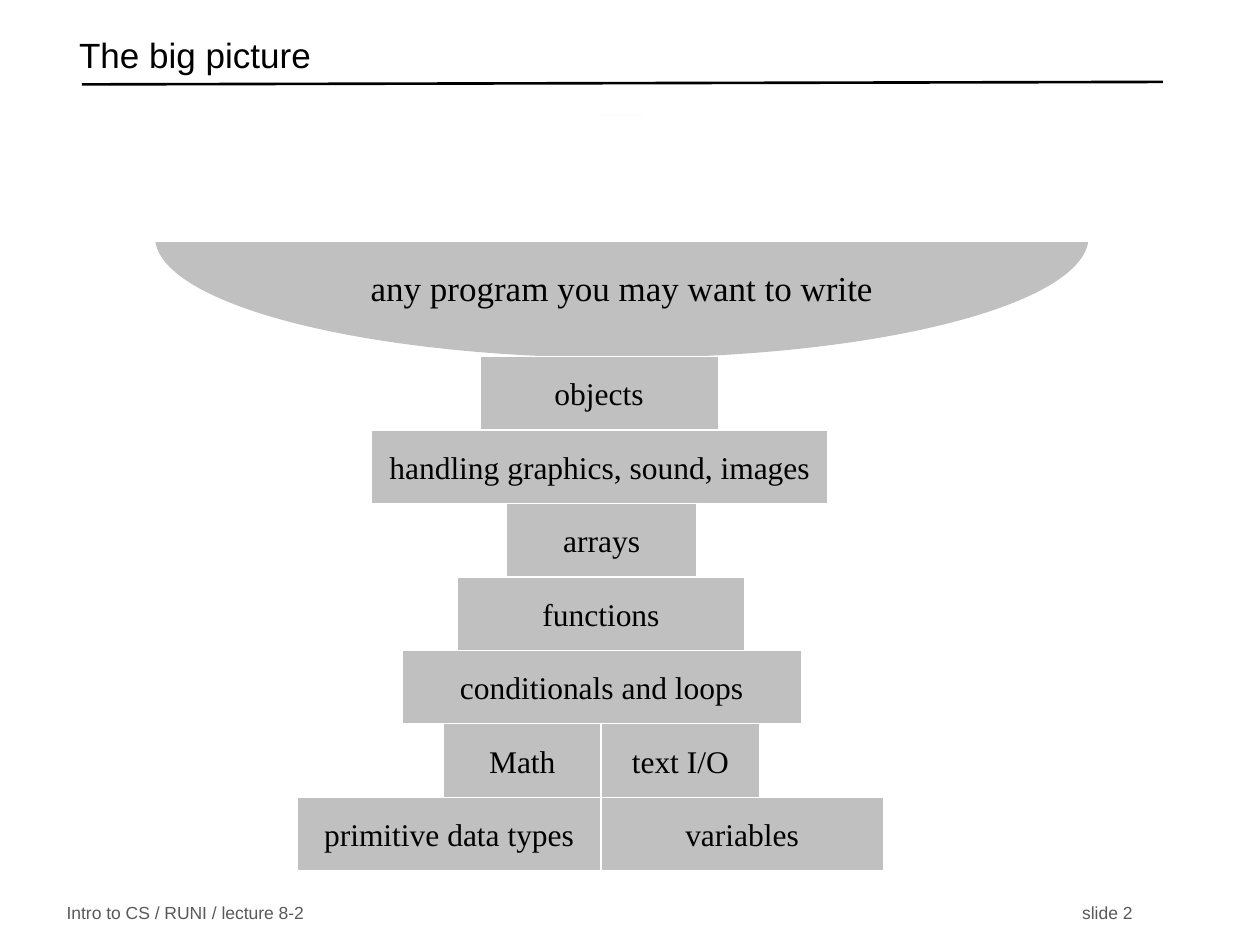
from lxml import etree
from pptx import Presentation
from pptx.dml.color import RGBColor
from pptx.enum import shapes, text
from pptx.oxml import ns
from pptx.util import Inches, Pt

BLACK = RGBColor(0x00, 0x00, 0x00)
WHITE = RGBColor(0xFF, 0xFF, 0xFF)
SILVER = RGBColor(0xC0, 0xC0, 0xC0)
GREY = RGBColor(0x59, 0x59, 0x59)
SANS, SERIF = "Arial", "Times New Roman"

ROW_HEIGHT = 0.583
# Rows from top to bottom: left edge, then (label, width) of each block
ROWS = [
    (3.81, [("objects", 1.89)]),
    (2.95, [("handling graphics, sound, images", 3.62)]),
    (4.02, [("arrays", 1.51)]),
    (3.63, [("functions", 2.28)]),
    (3.19, [("conditionals and loops", 3.17)]),
    (3.52, [("Math", 1.25), ("text I/O", 1.26)]),
    (2.36, [("primitive data types", 2.41), ("variables", 2.24)]),
]


def add_run(paragraph, words, size, font, color):
    run = paragraph.add_run()
    run.text = words
    run.font.size = Pt(size)
    run.font.name = font
    run.font.color.rgb = color


def add_text_box(slide, left, top, width, height):
    box = slide.shapes.add_textbox(Inches(left), Inches(top), Inches(width), Inches(height))
    box.text_frame.word_wrap = True
    box.text_frame.vertical_anchor = text.MSO_ANCHOR.MIDDLE
    return box.text_frame.paragraphs[0]


def add_filled(slide, kind, left, top, width, height, fill, outline=None):
    shape = slide.shapes.add_shape(
        kind, Inches(left), Inches(top), Inches(width), Inches(height))
    shape.shadow.inherit = False
    shape.fill.solid()
    shape.fill.fore_color.rgb = fill
    if outline is None:
        shape.line.fill.background()
    else:
        shape.line.color.rgb = outline
        shape.line.width = Pt(0.75)
    return shape


def add_label(shape, words, size):
    frame = shape.text_frame
    frame.word_wrap = False
    frame.vertical_anchor = text.MSO_ANCHOR.MIDDLE
    paragraph = frame.paragraphs[0]
    paragraph.alignment = text.PP_ALIGN.CENTER
    add_run(paragraph, words, size, SERIF, BLACK)


def add_header(slide, left, top, width, height):
    # Rule under the title
    rule = slide.shapes.add_connector(
        shapes.MSO_CONNECTOR.STRAIGHT,
        Inches(left + 0.12), Inches(top + 0.45),
        Inches(left + width + 0.1), Inches(top + 0.43))
    rule.line.color.rgb = BLACK
    rule.line.width = Pt(1.5)
    etree.SubElement(rule.element.spPr, ns.qn("a:effectLst"))
    # Title
    paragraph = add_text_box(slide, left, top, width, height)
    paragraph.line_spacing = 0.7
    add_run(paragraph, "The big picture", 20, SANS, BLACK)


def add_footer(slide, left, top, width, height):
    paragraph = add_text_box(slide, left, top, width, height)
    # Right tab stop for the slide number
    tabs = etree.SubElement(paragraph._p.get_or_add_pPr(), ns.qn("a:tabLst"))
    etree.SubElement(tabs, ns.qn("a:tab"), pos=str(Inches(width - 0.25)), algn="r")
    add_run(paragraph, "Intro to CS / RUNI / lecture 8-2\tslide 2", 10, SANS, GREY)


def add_bowl(slide, left, top, width, height):
    # Ellipse whose upper part is cut off by a white band
    bowl = add_filled(slide, shapes.MSO_SHAPE.OVAL, left, top, width, height, SILVER)
    add_label(bowl, "any program you may want to write", 20)
    bowl.text_frame.vertical_anchor = text.MSO_ANCHOR.BOTTOM
    bowl.text_frame.margin_bottom = Inches(0.11)
    add_filled(slide, shapes.MSO_SHAPE.RECTANGLE, 0.17, top, 9.67, 1, WHITE)


def add_tower(slide, top):
    for index, (left, blocks) in enumerate(ROWS):
        for words, width in blocks:
            block = add_filled(slide, shapes.MSO_SHAPE.RECTANGLE, left,
                               top + index * ROW_HEIGHT, width, ROW_HEIGHT, SILVER, WHITE)
            add_label(block, words, 18)
            left += width


def main():
    presentation = Presentation()
    presentation.slide_width = Inches(10)
    presentation.slide_height = Inches(7.5)
    slide = presentation.slides.add_slide(presentation.slide_layouts[6])
    add_header(slide, 0.53, 0.22, 8.6, 0.5)
    add_footer(slide, 0.43, 7.14, 8.71, 0.21)
    add_bowl(slide, 1.23, 0.92, 7.41, 1.92)
    add_tower(slide, 2.83)
    presentation.save("out.pptx")


if __name__ == "__main__":
    main()
